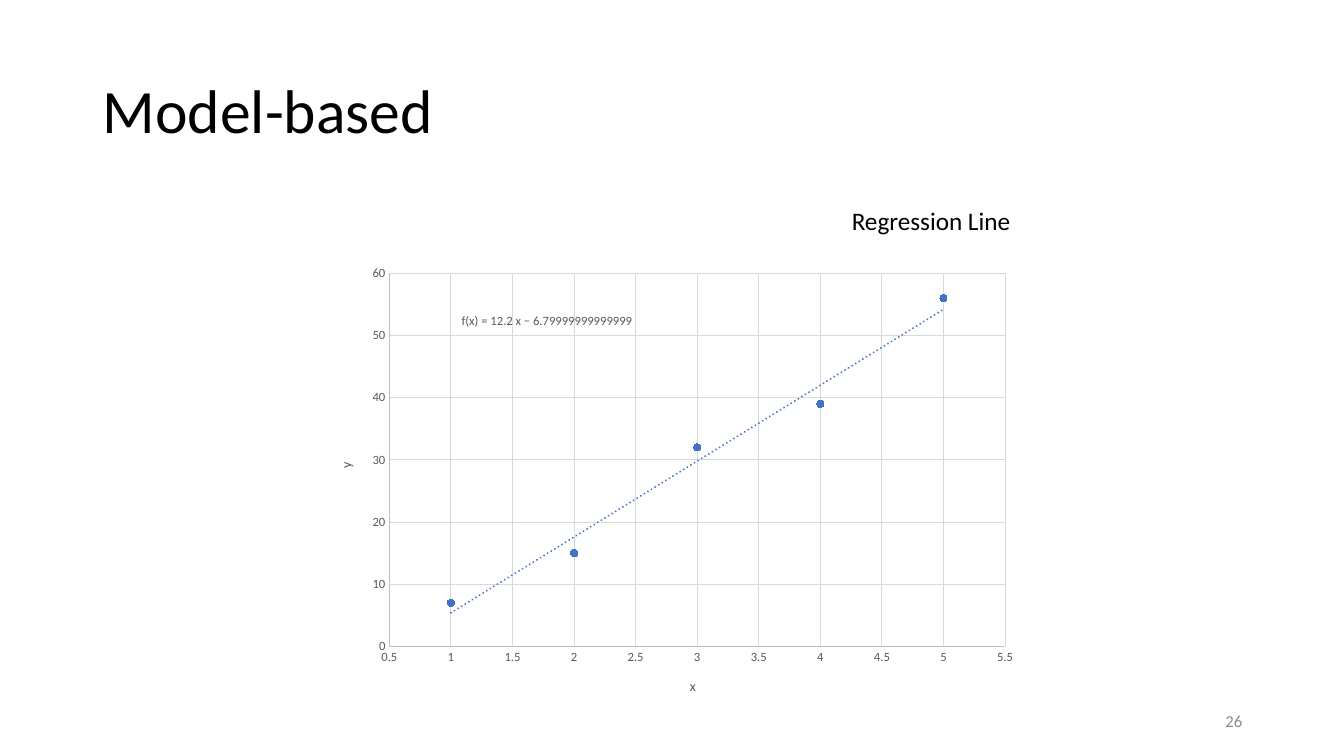
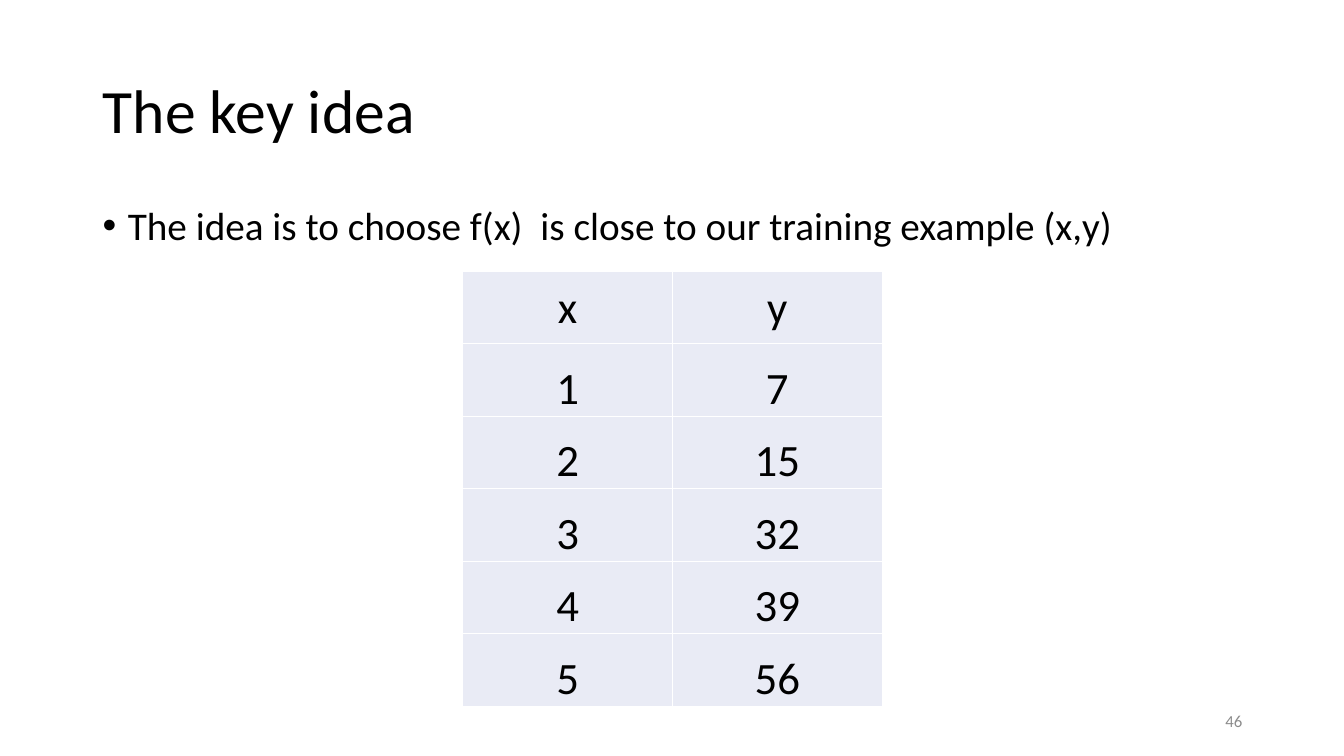
from lxml import etree
from pptx import Presentation, util as u
from pptx.chart.data import XyChartData
from pptx.dml.color import RGBColor
from pptx.enum import chart as ch, text
from pptx.oxml import parse_xml
from pptx.oxml.ns import nsdecls, qn

PX = 9144  # 100 px to the inch
FONT = "Calibri"
BLACK, WHITE, BLUE = "000000", "FFFFFF", "4472C4"
LABEL, AXIS, GRID = "595959", "BFBFBF", "D9D9D9"
NUMBER, CELL = "8C8C8C", "E9EBF5"
POINTS = [(1, 7), (2, 15), (3, 32), (4, 39), (5, 56)]

rgb = RGBColor.from_string

prs = Presentation()
prs.slide_width, prs.slide_height = 1333 * PX, 750 * PX


def write(sp, words, size, color=BLACK, align=text.PP_ALIGN.LEFT,
          anchor=text.MSO_ANCHOR.TOP):
    """Fill a shape or table cell with one formatted paragraph."""
    tf = sp.text_frame
    tf.text = words
    tf.word_wrap = True
    tf.vertical_anchor = anchor
    p = tf.paragraphs[0]
    p.alignment = align
    f = p.runs[0].font
    f.name, f.size, f.color.rgb = FONT, u.Pt(size), rgb(color)
    return p


def add_slide(title, number):
    """Add a slide with the shared title and slide number."""
    s = prs.slides.add_slide(prs.slide_layouts[5])
    sp = s.shapes.title
    sp.left, sp.top, sp.width, sp.height = [v * PX for v in (92, 40, 1150, 145)]
    p = write(sp, title, 44, anchor=text.MSO_ANCHOR.MIDDLE)
    p.line_spacing = 0.9
    sp = s.shapes.add_textbox(942 * PX, 695 * PX, 300 * PX, 40 * PX)
    write(sp, number, 12, NUMBER, text.PP_ALIGN.RIGHT, text.MSO_ANCHOR.MIDDLE)
    return s


# Slide 1: scatter chart with regression line
s = add_slide("Model-based", "26")
data = XyChartData()
series = data.add_series("Series 1")
for x, y in POINTS:
    series.add_data_point(x, y)
chart = s.shapes.add_chart(ch.XL_CHART_TYPE.XY_SCATTER, 316 * PX, 253 * PX,
                           702 * PX, 457 * PX, data).chart
chart.has_legend = chart.has_title = False
chart.font.name, chart.font.size = FONT, u.Pt(10)
chart.plots[0].vary_by_categories = False

# Axes
for axis, name, low, high, step in (
        (chart.category_axis, "x", 0.5, 5.5, 0.5),
        (chart.value_axis, "y", 0, 60, 10)):
    axis.minimum_scale, axis.maximum_scale, axis.major_unit = low, high, step
    axis.major_tick_mark = axis.minor_tick_mark = ch.XL_TICK_MARK.NONE
    axis.has_major_gridlines = True
    for line, color in ((axis.format.line, AXIS),
                        (axis.major_gridlines.format.line, GRID)):
        line.color.rgb, line.width = rgb(color), u.Pt(0.75)
    tf = axis.axis_title.text_frame
    tf.text = name
    for f, size in ((axis.tick_labels.font, 9), (tf.paragraphs[0].runs[0].font, 10)):
        f.name, f.size, f.bold, f.color.rgb = FONT, u.Pt(size), False, rgb(LABEL)
    axis.tick_labels.number_format = "General"
    axis.tick_labels.number_format_is_linked = False

# Markers
ser = chart.plots[0].series[0]
ser.smooth = False
ser.format.line.fill.background()
ser.marker.style, ser.marker.size = ch.XL_MARKER_STYLE.CIRCLE, 5
ser.marker.format.fill.solid()
ser.marker.format.fill.fore_color.rgb = rgb(BLUE)
ser.marker.format.line.color.rgb = rgb(BLUE)

# Trend line
trend = parse_xml(f"""<c:trendline {nsdecls("c", "a")}>
  <c:spPr><a:ln w="19050" cap="rnd"><a:solidFill><a:srgbClr val="{BLUE}"/></a:solidFill>
    <a:prstDash val="sysDot"/></a:ln></c:spPr>
  <c:trendlineType val="linear"/><c:dispRSqr val="0"/><c:dispEq val="0"/>
  </c:trendline>""")
ser._element.find(qn("c:xVal")).addprevious(trend)

# Fixed plot area
area = chart._chartSpace.chart.plotArea
for old in area.findall(qn("c:layout")):
    area.remove(old)
area.insert(0, parse_xml(f"""<c:layout {nsdecls("c")}><c:manualLayout>
  <c:layoutTarget val="inner"/><c:xMode val="edge"/><c:yMode val="edge"/>
  <c:x val="0.1"/><c:y val="0.04"/><c:w val="0.87"/><c:h val="0.81"/>
  </c:manualLayout></c:layout>"""))

# Equation and heading of the line
sp = s.shapes.add_textbox(448 * PX, 305 * PX, 210 * PX, 25 * PX)
write(sp, "f(x) = 12.2 x − 6.79999999999999", 9, LABEL)
sp = s.shapes.add_textbox(835 * PX, 199 * PX, 183 * PX, 40 * PX)
write(sp, "Regression Line", 18)

# Slide 2: bullet and table of training examples
s = add_slide("The key idea", "46")
sp = s.shapes.add_textbox(92 * PX, 200 * PX, 1150 * PX, 60 * PX)
p = write(sp, "The idea is to choose f(x)  is close to our training example (x,y)", 28)
p.line_spacing, p.space_before = 0.9, u.Pt(10)
pPr = p._p.get_or_add_pPr()
pPr.set("marL", str(25 * PX))
pPr.set("indent", str(-25 * PX))
etree.SubElement(pPr, qn("a:buFont")).set("typeface", "Arial")
etree.SubElement(pPr, qn("a:buChar")).set("char", "•")

rows = [("x", "y"), *POINTS]
table = s.shapes.add_table(len(rows), 2, 459 * PX, 269 * PX,
                           416 * PX, 432 * PX).table
table.first_row = table.horz_banding = False
for i, row in enumerate(rows):
    table.rows[i].height = 72 * PX
    anchor = text.MSO_ANCHOR.BOTTOM if i else text.MSO_ANCHOR.MIDDLE
    for j, value in enumerate(row):
        cell = table.cell(i, j)
        write(cell, str(value), 32, align=text.PP_ALIGN.CENTER)
        cell.vertical_anchor = anchor
        cell.margin_left = cell.margin_right = cell.margin_top = PX
        cell.margin_bottom = 0
        tcPr = cell._tc.get_or_add_tcPr()
        for side in ("lnL", "lnR", "lnT", "lnB"):
            tcPr.append(parse_xml(
                f'<a:{side} {nsdecls("a")} w="12700"><a:solidFill>'
                f'<a:srgbClr val="{WHITE}"/></a:solidFill></a:{side}>'))
        cell.fill.solid()
        cell.fill.fore_color.rgb = rgb(CELL)

prs.save("out.pptx")
